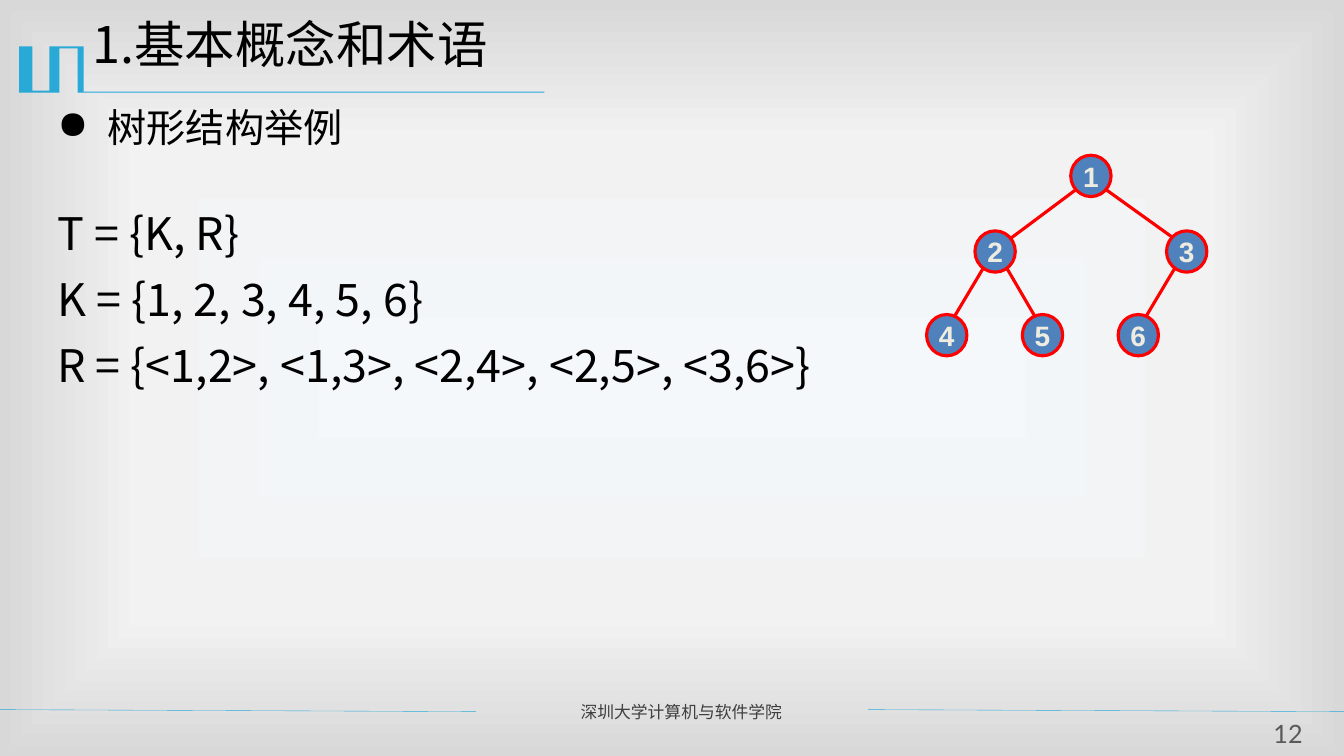
from dataclasses import dataclass

from lxml import etree
from pptx import Presentation
from pptx import util as u
from pptx.dml.color import RGBColor
from pptx.enum import shapes, text
from pptx.oxml import ns


@dataclass(frozen=True)
class Theme:
    px: int = 9144  # 100 px to the inch
    sans: str = "Noto Sans CJK SC"
    lato: str = "Lato"
    arial: str = "Arial"
    black: str = "000000"
    accent: str = "28A9D6"
    red: str = "FF0000"
    node: str = "4F81BD"
    cream: str = "EEECE1"
    dark: str = "3F3F3F"
    grey: str = "595959"
    stops: tuple = ((0, "F4F8FB"), (63, "F2F2F2"), (100, "D8D8D8"))
    title: int = 36
    math: int = 32
    body: int = 28
    label: int = 20
    page: int = 18
    foot: int = 12


class Deck:
    def __init__(self, theme, width, height):
        self.theme = theme
        self.prs = Presentation()
        self.prs.slide_width, self.prs.slide_height = self.emu(width, height)
        self.slide = self.prs.slides.add_slide(self.prs.slide_layouts[6])
        self.shapes = self.slide.shapes

    def emu(self, *vals):
        return [u.Emu(v * self.theme.px) for v in vals]

    def backdrop(self):
        self.slide.background.fill.gradient()
        grad = self.slide.element.find(".//" + ns.qn("a:gradFill"))
        for child in list(grad):
            grad.remove(child)
        stops = etree.SubElement(grad, ns.qn("a:gsLst"))
        for pos, color in self.theme.stops:
            stop = etree.SubElement(stops, ns.qn("a:gs"), pos=str(pos * 1000))
            etree.SubElement(stop, ns.qn("a:srgbClr"), val=color)
        shade = etree.SubElement(grad, ns.qn("a:path"), path="rect")
        etree.SubElement(shade, ns.qn("a:fillToRect"),
                         dict.fromkeys("ltrb", "50000"))

    def style(self, para, size, color, font, bold=False):
        for run in para.runs:
            run.font.size = u.Pt(size)
            run.font.bold = bold
            run.font.color.rgb = RGBColor.from_string(color)
            run.font.name = font
            etree.SubElement(run.font._element, ns.qn("a:ea"),
                             typeface=self.theme.sans)

    def frame(self, box):
        frame = self.shapes.add_textbox(*self.emu(*box)).text_frame
        frame.word_wrap = True
        return frame

    def label(self, box, words, size, color, font, align=None, pad=None):
        frame = self.frame(box)
        if pad is not None:
            self.inset(frame, pad)
        frame.text = words
        para = frame.paragraphs[0]
        para.alignment = align
        self.style(para, size, color, font)
        return para

    def inset(self, frame, pad):
        frame.margin_left = frame.margin_right = pad
        frame.margin_top = frame.margin_bottom = pad

    def bullet(self, para, mark, indent):
        props = para._p.get_or_add_pPr()
        width = self.emu(indent)[0]
        props.set("marL", str(width))
        props.set("indent", str(-width))
        etree.SubElement(props, ns.qn("a:buChar"), char=mark)

    def line(self, start, end, color, width):
        link = self.shapes.add_connector(
            shapes.MSO_CONNECTOR.STRAIGHT, *self.emu(*start, *end))
        link.line.color.rgb = RGBColor.from_string(color)
        link.line.width = u.Pt(width)
        etree.SubElement(link._element.spPr, ns.qn("a:effectLst"))

    def outline(self, points, color):
        pen = self.shapes.build_freeform(*points[0], scale=self.theme.px)
        pen.add_line_segments(points[1:], close=True)
        form = pen.convert_to_shape()
        form.shadow.inherit = False
        form.fill.solid()
        form.fill.fore_color.rgb = RGBColor.from_string(color)
        form.line.fill.background()

    def circle(self, mid, words, size=40):
        t = self.theme
        x, y = mid
        dot = self.shapes.add_shape(
            shapes.MSO_SHAPE.OVAL,
            *self.emu(x - size // 2, y - size // 2, size, size + 1))
        dot.shadow.inherit = False
        dot.fill.solid()
        dot.fill.fore_color.rgb = RGBColor.from_string(t.node)
        dot.line.color.rgb = RGBColor.from_string(t.red)
        dot.line.width = u.Pt(2.25)
        frame = dot.text_frame
        self.inset(frame, 0)
        frame.word_wrap = False
        frame.vertical_anchor = text.MSO_ANCHOR.MIDDLE
        frame.text = words
        para = frame.paragraphs[0]
        para.alignment = text.PP_ALIGN.CENTER
        self.style(para, t.label, t.cream, t.arial, True)


def main():
    t = Theme()
    deck = Deck(t, 1333, 750)
    deck.backdrop()

    # Title ornament and footer
    deck.outline([(82, 46), (83, 46), (83, 91), (540, 91), (540, 92),
                  (77, 92), (77, 48), (59, 48), (59, 92), (19, 92),
                  (19, 46), (32, 46), (32, 90), (49, 90), (49, 46)], t.accent)
    for left, right in ((-1, 472), (861, 1333)):
        deck.line((left, 704), (right, 706), t.accent, 0.25)
    deck.label((566, 691, 285, 30), "深圳大学计算机与软件学院",
               t.foot, t.dark, t.lato)
    deck.label((1248, 713, 59, 31), "12", t.page, t.grey, t.lato,
               text.PP_ALIGN.CENTER, 0)

    # Title
    title = deck.label((82, 15, 1200, 87), "1.基本概念和术语",
                       t.title, t.black, t.sans)
    title.line_spacing = 0.9

    # Body
    rows = [("树形结构举例", t.body, 0),
            ("T = {K, R}", t.math, 43),
            ("K = {1, 2, 3, 4, 5, 6}", t.math, 12.6),
            ("R = {<1,2>, <1,3>, <2,4>, <2,5>, <3,6>}", t.math, 12.6)]
    frame = deck.frame((47, 103, 1213, 563))
    frame.text = "\n".join(row[0] for row in rows)
    for para, (_, size, gap) in zip(frame.paragraphs, rows):
        para.line_spacing = 0.9
        para.space_before = u.Pt(gap)
        deck.style(para, size, t.black, t.sans)
    deck.bullet(frame.paragraphs[0], "●", 50)

    # Tree: column and level of each node
    spots = {1: (3, 0), 2: (1, 1), 3: (5, 1),
             4: (0, 2), 5: (2, 2), 6: (4, 2)}
    levels = (174, 249, 332)
    mids = {key: (round(939 + 47.6 * col), levels[row])
            for key, (col, row) in spots.items()}

    # Edges: parent, child, offset at parent, x and y offset at child
    edges = [(1, 3, 12, 12, 12), (1, 2, 12, 4, 4),
             (2, 5, 4, 4, 12), (3, 6, 4, 4, 12), (2, 4, 4, 4, 12)]
    for top, low, out, dx, dy in edges:
        (x1, y1), (x2, y2) = mids[top], mids[low]
        side = 1 if x2 > x1 else -1
        deck.line((x1 + side * out, y1 + out), (x2 - side * dx, y2 - dy),
                  t.red, 2.25)
    for key, mid in mids.items():
        deck.circle(mid, str(key))

    deck.prs.save("out.pptx")


if __name__ == "__main__":
    main()
